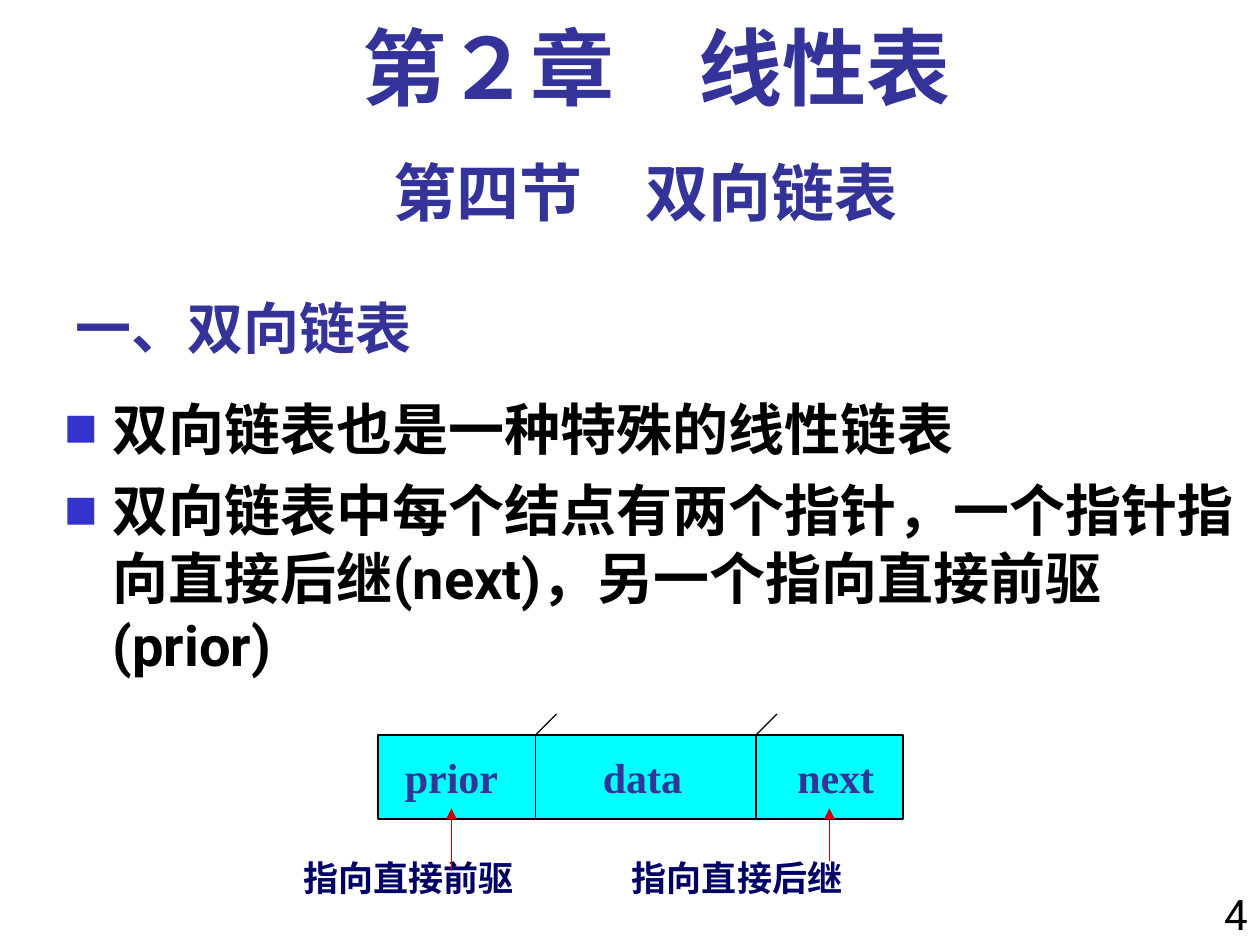
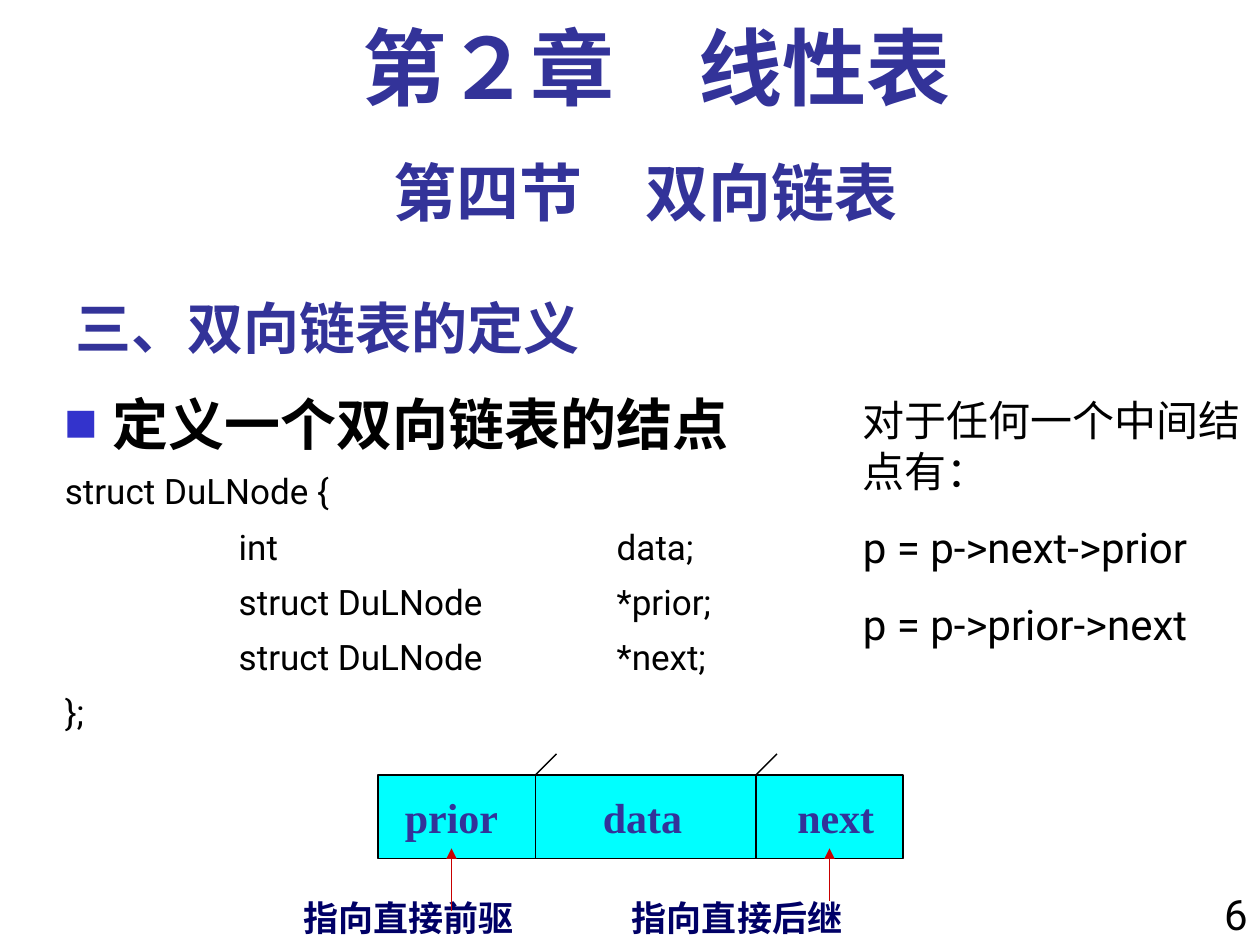
from lxml import etree
from pptx import Presentation
from pptx.dml.color import RGBColor
from pptx.enum.shapes import MSO_CONNECTOR, MSO_SHAPE
from pptx.enum.text import MSO_ANCHOR, MSO_AUTO_SIZE, PP_ALIGN
from pptx.oxml.ns import qn
from pptx.util import Inches, Pt

LEFT, CENTER, RIGHT = PP_ALIGN.LEFT, PP_ALIGN.CENTER, PP_ALIGN.RIGHT
TOP, MIDDLE, BOTTOM = MSO_ANCHOR.TOP, MSO_ANCHOR.MIDDLE, MSO_ANCHOR.BOTTOM
GROW, FIXED = MSO_AUTO_SIZE.SHAPE_TO_FIT_TEXT, MSO_AUTO_SIZE.NONE
STRAIGHT, RECT = MSO_CONNECTOR.STRAIGHT, MSO_SHAPE.RECTANGLE

SANS, SERIF, CJK = "Roboto", "Times New Roman", "Noto Sans CJK SC"
INDIGO, NAVY, BLACK = "333399", "000066", "000000"
BULLET, CYAN, RED = "3333CC", "00FFFF", "C80000"

CHAPTER, SECTION = "第２章　线性表", "第四节　双向链表"
# All boxes are (column, row, columns, rows) on a grid of 120 x 90 units.
COLS, ROWS = 120, 90
CHAPTER_BOX = (8, 2, 109, 10)
SECTION_BOX = (6, 14, 111, 8.4)
HEADING_BOX = (6, 26, 75, 9)
NUMBER_BOX = (112, 84, 8, 7)
NODE_SIZE = (50, 8)


def rgb(color):
    return RGBColor.from_string(color)


def unit(n):
    return Inches(n / 12)


def place(shape, box):
    shape.left, shape.top, shape.width, shape.height = map(unit, box)


def add_run(p, text, size, color, bold=False, font=SANS):
    r = p.add_run()
    r.text = text
    r.font.size, r.font.bold, r.font.name = Pt(size), bold, font
    r.font.color.rgb = rgb(color)
    etree.SubElement(r.font._element, qn("a:ea"), typeface=CJK)


def next_paragraph(tf, before=0, align=LEFT):
    """Return the empty first paragraph, or a new one after the others."""
    p = tf.paragraphs[0]
    if p.runs:
        p = tf.add_paragraph()
    p.space_before, p.alignment = Pt(before), align
    return p


def add_text(shapes, box, grow=GROW, anchor=TOP, wrap=True):
    tf = shapes.add_textbox(*map(unit, box)).text_frame
    tf.word_wrap, tf.auto_size, tf.vertical_anchor = wrap, grow, anchor
    return tf


def add_line(shapes, start, end, color=BLACK, arrow=False):
    c = shapes.add_connector(STRAIGHT, *map(unit, start + end))
    c.line.color.rgb, c.line.width = rgb(color), Pt(0.75)
    if arrow:
        etree.SubElement(c.line._get_or_add_ln(), qn("a:tailEnd"), type="triangle")
    etree.SubElement(c._element.spPr, qn("a:effectLst"))


def add_bullet(tf, text, before):
    p = next_paragraph(tf, before)
    pPr = p._p.get_or_add_pPr()
    pPr.set("marL", str(Inches(0.38)))
    pPr.set("indent", str(-Inches(0.38)))
    color = etree.SubElement(pPr, qn("a:buClr"))
    etree.SubElement(color, qn("a:srgbClr"), val=BULLET)
    etree.SubElement(pPr, qn("a:buSzPct"), val="60000")
    etree.SubElement(pPr, qn("a:buFont"), typeface=CJK)
    etree.SubElement(pPr, qn("a:buChar"), char="■")
    add_run(p, text, 32, BLACK, True)


def add_code(tf, lines):
    for line in lines:
        p = next_paragraph(tf, 7.5)
        tabs = etree.SubElement(p._p.get_or_add_pPr(), qn("a:tabLst"))
        for stop in (1.38, 4.38):
            etree.SubElement(tabs, qn("a:tab"), pos=str(Inches(stop)), algn="l")
        add_run(p, line, 20, BLACK)


def add_base_slide(prs, heading, number):
    """Add a slide with chapter, section, heading and page number."""
    s = prs.slides.add_slide(prs.slide_layouts[5])
    title = s.shapes.title
    place(title, HEADING_BOX)
    tf = title.text_frame
    tf.vertical_anchor, tf.auto_size = BOTTOM, FIXED
    add_run(next_paragraph(tf), heading, 32, INDIGO, True, CJK)

    p = next_paragraph(add_text(s.shapes, CHAPTER_BOX, FIXED), 12, CENTER)
    p.line_spacing = 0.9
    add_run(p, CHAPTER, 48, INDIGO, True, SERIF)
    p = next_paragraph(add_text(s.shapes, SECTION_BOX), 22.5, CENTER)
    add_run(p, SECTION, 36, INDIGO, True)
    p = next_paragraph(add_text(s.shapes, NUMBER_BOX), 15, RIGHT)
    add_run(p, number, 24, BLACK)
    return s


def add_node(s, x, y):
    """Draw the three-field list node with its pointers, top left at x, y."""
    shapes = s.shapes.add_group_shape().shapes
    w, h = NODE_SIZE
    node = shapes.add_shape(RECT, *map(unit, (x, y, w, h)))
    node.shadow.inherit = False
    node.fill.solid()
    node.fill.fore_color.rgb = rgb(CYAN)
    node.line.color.rgb, node.line.width = rgb(BLACK), Pt(0.75)

    for field, center in (("prior", 7), ("data", 25.2), ("next", 43.6)):
        tf = add_text(shapes, (x + center - 6, y, 12, h), FIXED, MIDDLE)
        add_run(next_paragraph(tf, 0, CENTER), field, 24, INDIGO, True, SERIF)
    for divider in (x + 15, x + 36):
        add_line(shapes, (divider, y), (divider, y + h))
        add_line(shapes, (divider, y), (divider + 2, y - 2))
    for label, left in (("指向直接前驱", -8.3), ("指向直接后继", 23)):
        tf = add_text(shapes, (x + left, y + 11, 22.5, 5.25), wrap=False)
        add_run(next_paragraph(tf), label, 20, NAVY, True, SERIF)
    for column, start in ((x + 7, 13), (x + 43, 12)):
        add_line(shapes, (column, y + start), (column, y + 7), RED, True)


def add_concept_slide(prs):
    s = add_base_slide(prs, "一、双向链表", "4")
    tf = add_text(s.shapes, (5, 37, 115, 51), FIXED)
    for text in ("双向链表也是一种特殊的线性链表",
                 "双向链表中每个结点有两个指针，一个指针指向直接后继(next)，另一个指向直接前驱(prior)"):
        add_bullet(tf, text, 8)
    add_node(s, 36, 70)


def add_definition_slide(prs):
    s = add_base_slide(prs, "三、双向链表的定义", "6")
    tf = add_text(s.shapes, (5, 36.5, 115, 51), FIXED)
    add_bullet(tf, "定义一个双向链表的结点", 12)
    add_code(tf, ("struct DuLNode {", "\tint\tdata;", "\tstruct DuLNode\t*prior;",
                  "\tstruct DuLNode\t*next;", "};"))
    add_node(s, 36, 73.8)
    tf = add_text(s.shapes, (81, 37, 39, 25.4))
    for text in ("对于任何一个中间结点有：", "p = p->next->prior", "p = p->prior->next"):
        add_run(next_paragraph(tf, 15), text, 24, BLACK)


def main():
    prs = Presentation()
    prs.slide_width, prs.slide_height = unit(COLS), unit(ROWS)
    add_concept_slide(prs)
    add_definition_slide(prs)
    prs.save("out.pptx")


if __name__ == "__main__":
    main()
